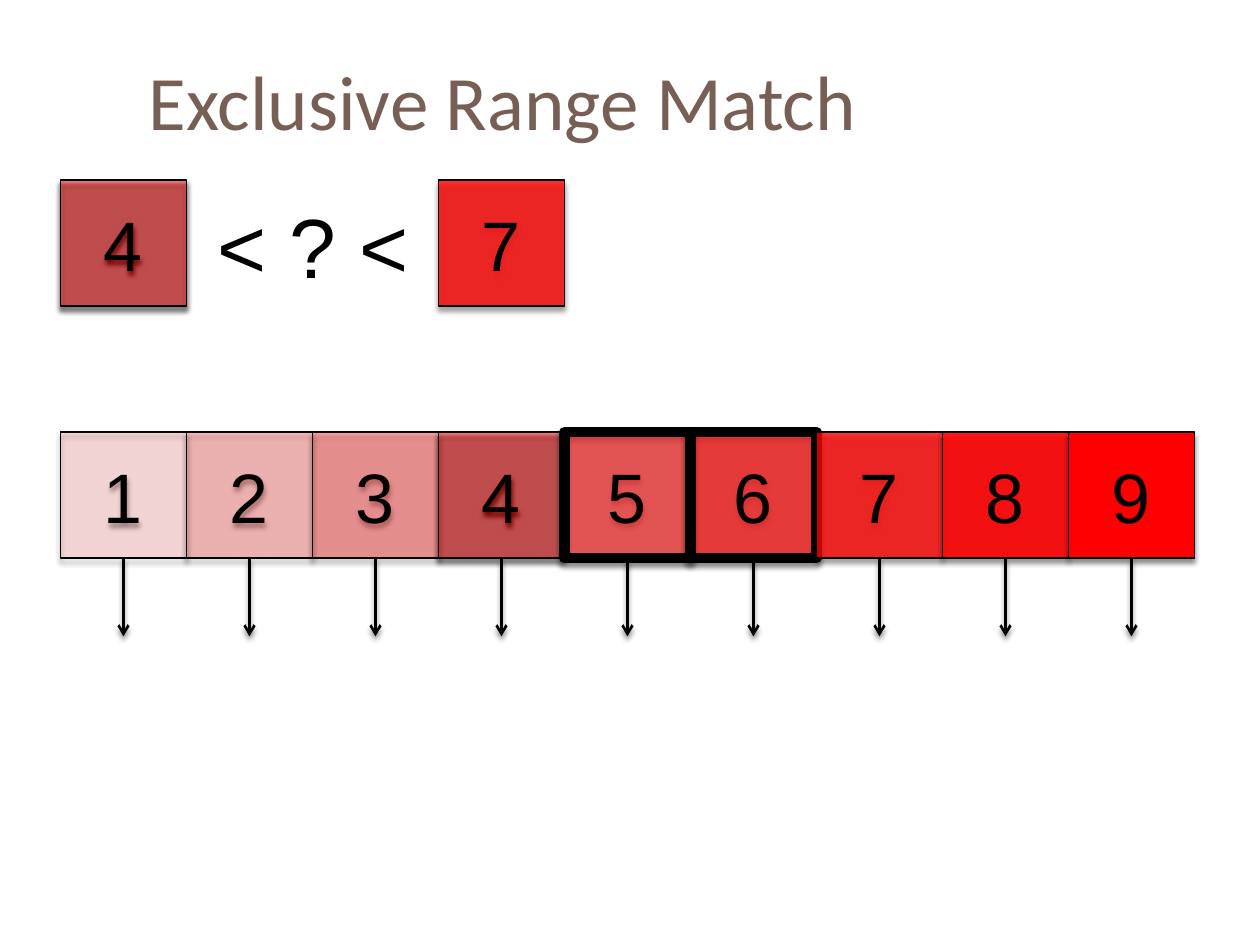
"""Builds the Exclusive Range Match slide."""
from lxml.etree import SubElement
from pptx import Presentation
from pptx.dml.color import RGBColor
from pptx.enum.shapes import MSO_CONNECTOR as Connector, MSO_SHAPE as Shape
from pptx.enum.text import MSO_ANCHOR as Anchor, PP_ALIGN as Align
from pptx.oxml.ns import qn
from pptx.util import Inches, Pt

BLACK = RGBColor(0x00, 0x00, 0x00)
RED = RGBColor(0xFF, 0x00, 0x00)
BROWN = RGBColor(0x77, 0x5F, 0x55)

LEFT = 0.48
SIDE = 1
QUERY_TOP = 1.43
ROW_TOP = 3.43
ARROW_END = 5.05


class RangeSlide:
    """Holds the slide style and draws its elements."""

    def __init__(self, page):
        self.page = page

    def add_text(self, frame, text, font, size, color, align=Align.LEFT):
        frame.vertical_anchor = Anchor.MIDDLE
        para = frame.paragraphs[0]
        para.alignment = align
        span = para.add_run()
        span.text = text
        span.font.name = font
        span.font.size = Pt(size)
        span.font.color.rgb = color

    def label(self, area, text, font, size, color, wrap):
        box = self.page.shapes.add_textbox(*map(Inches, area))
        box.text_frame.word_wrap = wrap
        self.add_text(box.text_frame, text, font, size, color)

    def cast_shadow(self, properties):
        effects = properties.find(qn("a:effectLst"))
        if effects is None:
            effects = SubElement(properties, qn("a:effectLst"))
        shadow = SubElement(effects, qn("a:outerShdw"), blurRad=str(Pt(3)),
                            dist=str(Pt(2.4)), dir="5400000", rotWithShape="0")
        color = SubElement(shadow, qn("a:srgbClr"), val=str(BLACK))
        SubElement(color, qn("a:alpha"), val="45000")

    def square(self, left, top, number, border=0.79):
        box = self.page.shapes.add_shape(
            Shape.RECTANGLE, *map(Inches, (left, top, SIDE, SIDE)))
        box.fill.solid()
        box.fill.fore_color.rgb = RED
        opacity = 1 + 11 * number
        if opacity < 100:
            color = box._element.spPr.find(qn("a:solidFill"))[0]
            SubElement(color, qn("a:alpha"), val=str(opacity * 1000))
        box.line.color.rgb = BLACK
        box.line.width = Pt(border)
        box.shadow.inherit = False
        self.cast_shadow(box._element.spPr)
        self.add_text(box.text_frame, str(number), "Arial", 40, BLACK, Align.CENTER)
        return box

    def arrow_below(self, box):
        center = box.left + box.width // 2
        arrow = self.page.shapes.add_connector(
            Connector.STRAIGHT, center, box.top + box.height, center, Inches(ARROW_END))
        arrow.begin_connect(box, 2)
        arrow.line.color.rgb = BLACK
        arrow.line.width = Pt(1.5)
        properties = arrow._element.spPr
        SubElement(properties.find(qn("a:ln")), qn("a:tailEnd"), type="arrow")
        self.cast_shadow(properties)


def main():
    deck = Presentation()
    deck.slide_width, deck.slide_height = Inches(10), Inches(7.5)
    slide = RangeSlide(deck.slides.add_slide(deck.slide_layouts[6]))

    slide.label((1.08, 0.25, 8.92, 1.08), "Exclusive Range Match", "Calibri", 44, BROWN, True)

    low, high = 4, 7
    cells = [slide.square(LEFT + (number - 1) * SIDE, ROW_TOP, number,
                          6 if low < number < high else 0.79)
             for number in range(1, 10)]
    slide.square(LEFT, QUERY_TOP, low)
    slide.label((1.63, 1.49, 1.74, 0.91), "< ? <", "Arial", 48, BLACK, False)
    slide.square(LEFT + 3 * SIDE, QUERY_TOP, high)
    for cell in cells:
        slide.arrow_below(cell)

    deck.save("out.pptx")


if __name__ == "__main__":
    main()
